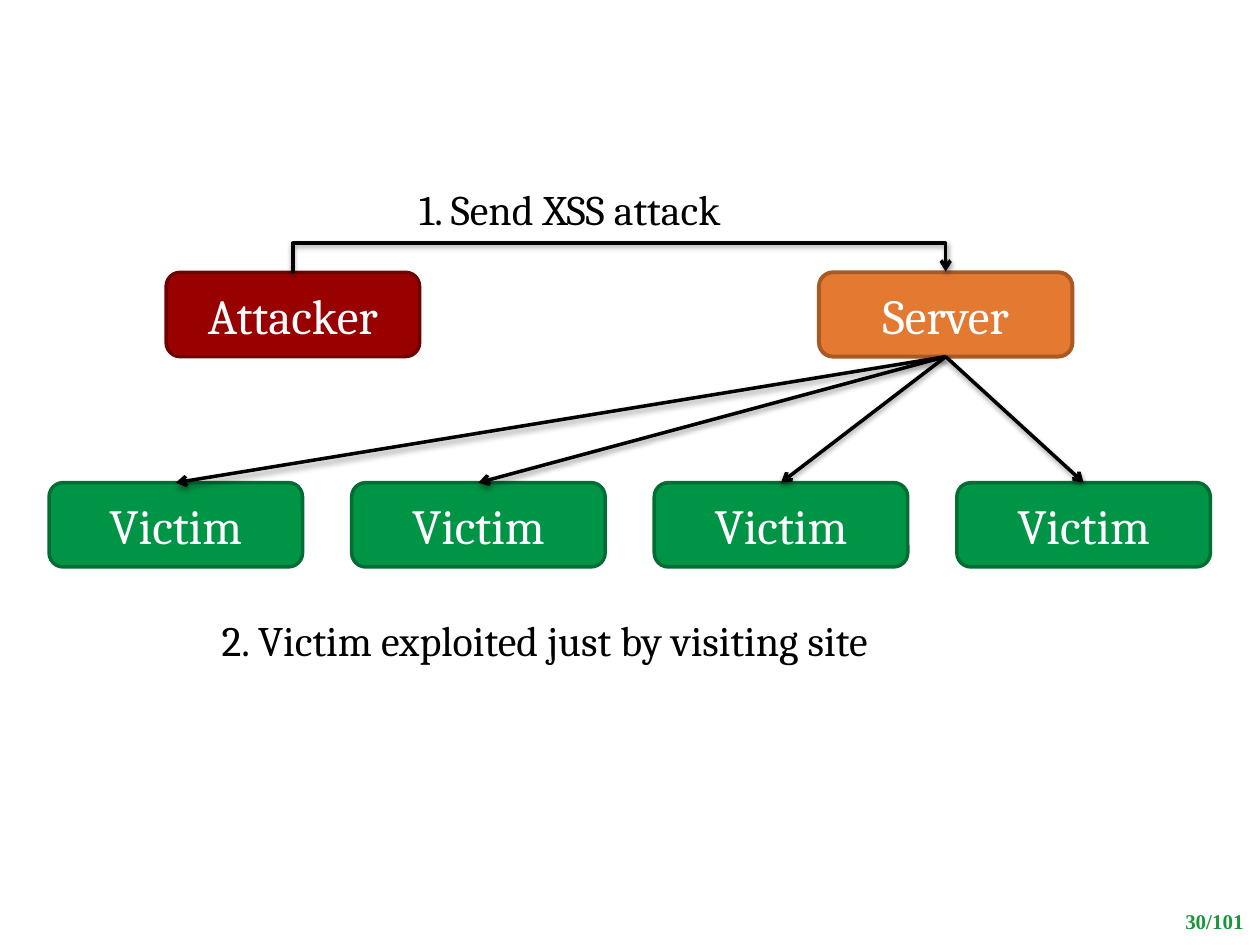
from dataclasses import dataclass

from lxml import etree
from pptx import Presentation
from pptx.dml.color import RGBColor
from pptx.enum.shapes import MSO_CONNECTOR, MSO_SHAPE
from pptx.enum.text import MSO_ANCHOR, PP_ALIGN
from pptx.oxml import parse_xml
from pptx.oxml.ns import nsdecls, qn
from pptx.util import Cm, Pt

ROUNDED = MSO_SHAPE.ROUNDED_RECTANGLE
STRAIGHT, ELBOW = MSO_CONNECTOR.STRAIGHT, MSO_CONNECTOR.ELBOW
MIDDLE = MSO_ANCHOR.MIDDLE
LEFT, CENTER, RIGHT = PP_ALIGN.LEFT, PP_ALIGN.CENTER, PP_ALIGN.RIGHT
TOP_SIDE, BOTTOM_SIDE = 0, 2


@dataclass(frozen=True)
class Theme:
    font: str = "Cambria"
    number_font: str = "Times New Roman"
    node_size: int = 28
    label_size: int = 24
    number_size: int = 12
    line_width: float = 2
    white: str = "FFFFFF"
    black: str = "000000"
    number: str = "1B953B"
    attacker: tuple = ("990000", "710000")
    server: tuple = ("E47932", "A85924")
    victim: tuple = ("009446", "006D33")


THEME = Theme()
NODE_WIDTH, NODE_HEIGHT = 5.11, 1.7
ATTACKER_LEFT, SERVER_LEFT, UPPER_TOP = 3.35, 16.51, 5.49
VICTIM_LEFT, VICTIM_TOP, VICTIM_PITCH, VICTIM_COUNT = 0.99, 9.73, 6.1, 4
ELBOW_RISE, ELBOW_DROP = 0.6, 0.03


def write_text(shape, text, alignment, **font_format):
    paragraph = shape.text_frame.paragraphs[0]
    paragraph.alignment = alignment
    run = paragraph.add_run()
    run.text = text
    run.font.color.rgb = RGBColor.from_string(font_format.pop("color"))
    for name, value in font_format.items():
        setattr(run.font, name, value)


def add_label(slide, box, text, alignment=LEFT, **changes):
    label = slide.shapes.add_textbox(*map(Cm, box))
    label.text_frame.word_wrap = True
    font_format = {"name": THEME.font, "size": Pt(THEME.label_size), "color": THEME.black}
    write_text(label, text, alignment, **{**font_format, **changes})


def add_node(slide, left, top, text, colors, line_width=THEME.line_width):
    node = slide.shapes.add_shape(
        ROUNDED, Cm(left), Cm(top), Cm(NODE_WIDTH), Cm(NODE_HEIGHT))
    node.shadow.inherit = False
    fill, outline = map(RGBColor.from_string, colors)
    node.fill.solid()
    node.fill.fore_color.rgb = fill
    node.line.color.rgb = outline
    node.line.width = Pt(line_width)
    node.text_frame.vertical_anchor = MIDDLE
    write_text(node, text, CENTER, name=THEME.font,
               size=Pt(THEME.node_size), color=THEME.white)
    return node


def style_arrow(connector):
    """Give a connector its line, open arrowhead and soft shadow."""
    connector.line.color.rgb = RGBColor.from_string(THEME.black)
    connector.line.width = Pt(THEME.line_width)
    properties = connector._element.spPr
    line = properties.find(qn("a:ln"))
    etree.SubElement(line, qn("a:tailEnd"), type="arrow")
    properties.append(parse_xml(
        f'<a:effectLst {nsdecls("a")}>'
        f'<a:outerShdw blurRad="{Pt(3.1)}" dist="{Pt(1.6)}" dir="5400000" rotWithShape="0">'
        f'<a:srgbClr val="{THEME.black}"><a:alpha val="38000"/></a:srgbClr>'
        '</a:outerShdw></a:effectLst>'))


def add_straight_arrow(slide, source, target):
    arrow = slide.shapes.add_connector(STRAIGHT, 0, 0, 0, 0)
    arrow.begin_connect(source, BOTTOM_SIDE)
    arrow.end_connect(target, TOP_SIDE)
    style_arrow(arrow)


def add_overhead_arrow(slide, start_x, end_x, y):
    """Draw an elbow, turned a quarter, that rises, crosses and comes down."""
    middle, half_span = (start_x + end_x) / 2, (end_x - start_x) / 2
    half_drop = ELBOW_DROP / 2
    arrow = slide.shapes.add_connector(
        ELBOW, Cm(middle + half_drop), Cm(y + half_span),
        Cm(middle - half_drop), Cm(y - half_span))
    properties = arrow._element.spPr
    properties.find(qn("a:xfrm")).set("rot", "5400000")
    adjustments = properties.find(qn("a:prstGeom")).find(qn("a:avLst"))
    bend = round(ELBOW_RISE / ELBOW_DROP * 100000)
    etree.SubElement(adjustments, qn("a:gd"), name="adj1", fmla=f"val {bend}")
    style_arrow(arrow)


def main():
    presentation = Presentation()
    presentation.slide_width, presentation.slide_height = Cm(25.4), Cm(19.05)
    slide = presentation.slides.add_slide(presentation.slide_layouts[6])

    add_label(slide, (23.11, 18.19, 2.21, 0.76), "30/101", RIGHT,
              name=THEME.number_font, size=Pt(THEME.number_size),
              color=THEME.number, bold=True)

    server = add_node(slide, SERVER_LEFT, UPPER_TOP, "Server", THEME.server, 2.25)
    add_node(slide, ATTACKER_LEFT, UPPER_TOP, "Attacker", THEME.attacker)
    add_overhead_arrow(slide, ATTACKER_LEFT + NODE_WIDTH / 2,
                       SERVER_LEFT + NODE_WIDTH / 2, UPPER_TOP)
    add_label(slide, (8.2, 3.58, 8.71, 1.27), "1. Send XSS attack")

    victims = [add_node(slide, VICTIM_LEFT + index * VICTIM_PITCH, VICTIM_TOP,
                        "Victim", THEME.victim) for index in range(VICTIM_COUNT)]
    for victim in victims:
        add_straight_arrow(slide, server, victim)
    add_label(slide, (4.22, 12.27, 16.94, 1.27),
              "2. Victim exploited just by visiting site")

    presentation.save("out.pptx")


if __name__ == "__main__":
    main()
